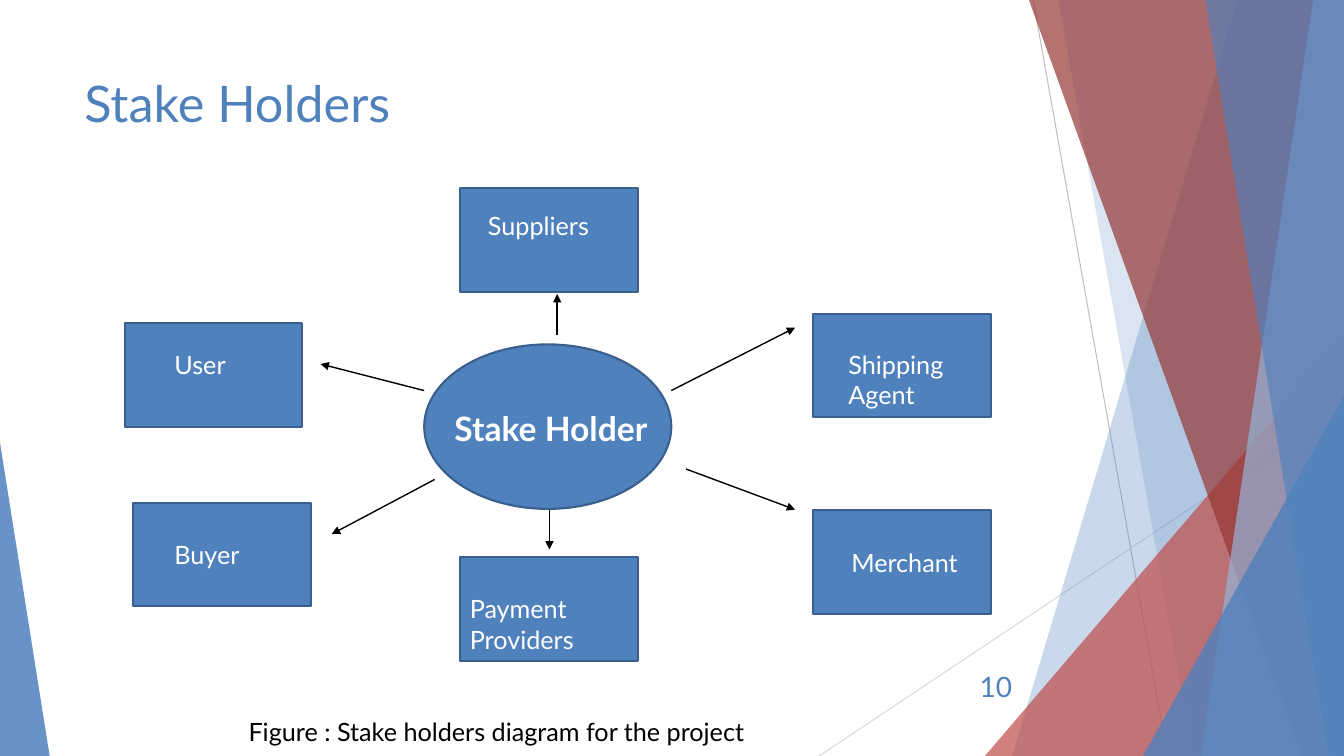
from pptx import Presentation, util as u
from pptx.dml import color
from pptx.enum import shapes, text
from pptx.oxml import ns
from lxml import etree

# Content, all lengths in points
TITLE = "Stake Holders"
HUB = ("Stake Holder", (303, 246, 176.5, 117.5), (317.5, 287.5, 177, 36))
BOX_SIZE = (127, 74)
PARTIES = [  # name, box corner, label frame
    ("User", (89, 231), (117.5, 246, 81.5, 29)),
    ("Buyer", (95, 359), (117.5, 381.5, 81.5, 29)),
    ("Merchant", (581, 364.5), (601, 387.5, 91.5, 29)),
    ("Shipping Agent", (581, 224), (599, 246, 91.5, 51)),
    ("Payment Providers", (328.5, 398), (328.5, 420.5, 114, 51)),
    ("Suppliers", (328.5, 134.5), (341.5, 147, 114, 29)),
]
ARROWS = [
    (303, 279, 229, 260), (310.5, 342.5, 237, 381.5), (392.5, 364, 392.5, 392.5),
    (479.5, 279, 568, 234), (490, 335, 568, 364), (398, 239, 398, 210),
]
CAPTION = ("Figure : Stake holders diagram for the project", (170.5, 508, 443, 29))
PAGE = ("10", (676, 476, 54, 29))

THEME = dict(
    font="Lato", blue="4F81BD", outline="3A5F8C", white="FFFFFF", black="000000",
    red="C0504D", maroon="953735", pale="95B3D7", rule="BFBFBF", faint="D9D9D9",
    title=36, hub=24, page=20, body=18,
)
W, H = 960, 540

# Decoration: bands run from the top edge to the bottom edge at the right margin
RULES = [((738, 0, 834, H), "rule"), ((W, 290, 585, H), "faint")]
BANDS = [  # kind, geometry, colour, opacity in percent
    ("band", (884, 723), "blue", 30),
    ("band", (756, 852), "blue", 20),
    ("wedge", (703.5, 240, 256.5, 300, 1), "red", 72),
    ("band", (735, 930), "maroon", 70),
    ("band", (938, 858), "pale", 70),
    ("band", (861, 949), "blue", 65),
    ("wedge", (816.5, 283, 143.5, 257, 1), "blue", 80),
    ("wedge", (0, 316, 35.5, 224, 0), "blue", 85),
]


def rgb(name):
    return color.RGBColor.from_string(THEME[name])


def pts(values):
    return [u.Pt(v) for v in values]


def apply(target, **values):
    for key, value in values.items():
        setattr(target, key, value)


def paint(shape, fill, outline=None, opacity=100):
    shape.shadow.inherit = False
    shape.fill.solid()
    shape.fill.fore_color.rgb = rgb(fill)
    if opacity < 100:
        tint = shape.fill._xPr.find(".//" + ns.qn("a:srgbClr"))
        etree.SubElement(tint, ns.qn("a:alpha"), val=str(opacity * 1000))
    if outline:
        shape.line.color.rgb = rgb(outline)
        shape.line.width = u.Pt(1.5)
    else:
        shape.line.fill.background()


def write(holder, words, size, ink, bold=False, align="LEFT", anchor="TOP"):
    frame = holder.text_frame
    apply(frame, word_wrap=True, auto_size=text.MSO_AUTO_SIZE.NONE,
          vertical_anchor=text.MSO_ANCHOR[anchor])
    paragraph = frame.paragraphs[0]
    paragraph.alignment = text.PP_ALIGN[align]
    run = paragraph.add_run()
    run.text = words
    apply(run.font, name=THEME["font"], size=u.Pt(THEME[size]), bold=bold)
    run.font.color.rgb = rgb(ink)


def label(words, frame, *style, **options):
    write(slide.shapes.add_textbox(*pts(frame)), words, *style, **options)


def connect(ends, ink, width, arrow=False):
    line = slide.shapes.add_connector(shapes.MSO_CONNECTOR.STRAIGHT, *pts(ends))
    line.line.color.rgb = rgb(ink)
    line.line.width = u.Pt(width)
    if arrow:
        etree.SubElement(line.line._get_or_add_ln(), ns.qn("a:tailEnd"), type="triangle")
    etree.SubElement(line._element.spPr, ns.qn("a:effectLst"))


def node(kind, frame):
    paint(slide.shapes.add_shape(kind, *pts(frame)), "blue", "outline")


deck = Presentation()
apply(deck, slide_width=u.Pt(W), slide_height=u.Pt(H))
slide = deck.slides.add_slide(deck.slide_layouts[5])

# Background decoration
for ends, ink in RULES:
    connect(ends, ink, 0.75)
for kind, geometry, fill, opacity in BANDS:
    if kind == "band":
        top, bottom = geometry
        outline = slide.shapes.build_freeform(u.Pt(top), 0)
        outline.add_line_segments([pts(p) for p in ((W, 0), (W, H), (bottom, H))])
        piece = outline.convert_to_shape()
    else:
        *frame, apex = geometry
        piece = slide.shapes.add_shape(shapes.MSO_SHAPE.ISOSCELES_TRIANGLE, *pts(frame))
        piece.adjustments[0] = apex
    paint(piece, fill, opacity=opacity)

# Title, in front of the decoration
title = slide.shapes.title
apply(title, **dict(zip(("left", "top", "width", "height"), pts((53, 48, 677, 104)))))
write(title, TITLE, "title", "blue")
slide.shapes._spTree.append(title._element)

# Hub and parties
hub_name, hub_frame, hub_label = HUB
node(shapes.MSO_SHAPE.OVAL, hub_frame)
label(hub_name, hub_label, "hub", "white", bold=True)
for name, corner, name_frame in PARTIES:
    node(shapes.MSO_SHAPE.RECTANGLE, corner + BOX_SIZE)
    label(name, name_frame, "body", "white")

# Arrows
for ends in ARROWS:
    connect(ends, "black", 1, arrow=True)

# Caption and page number
label(*CAPTION, "body", "black")
label(*PAGE, "page", "blue", align="RIGHT", anchor="MIDDLE")

deck.save("out.pptx")
